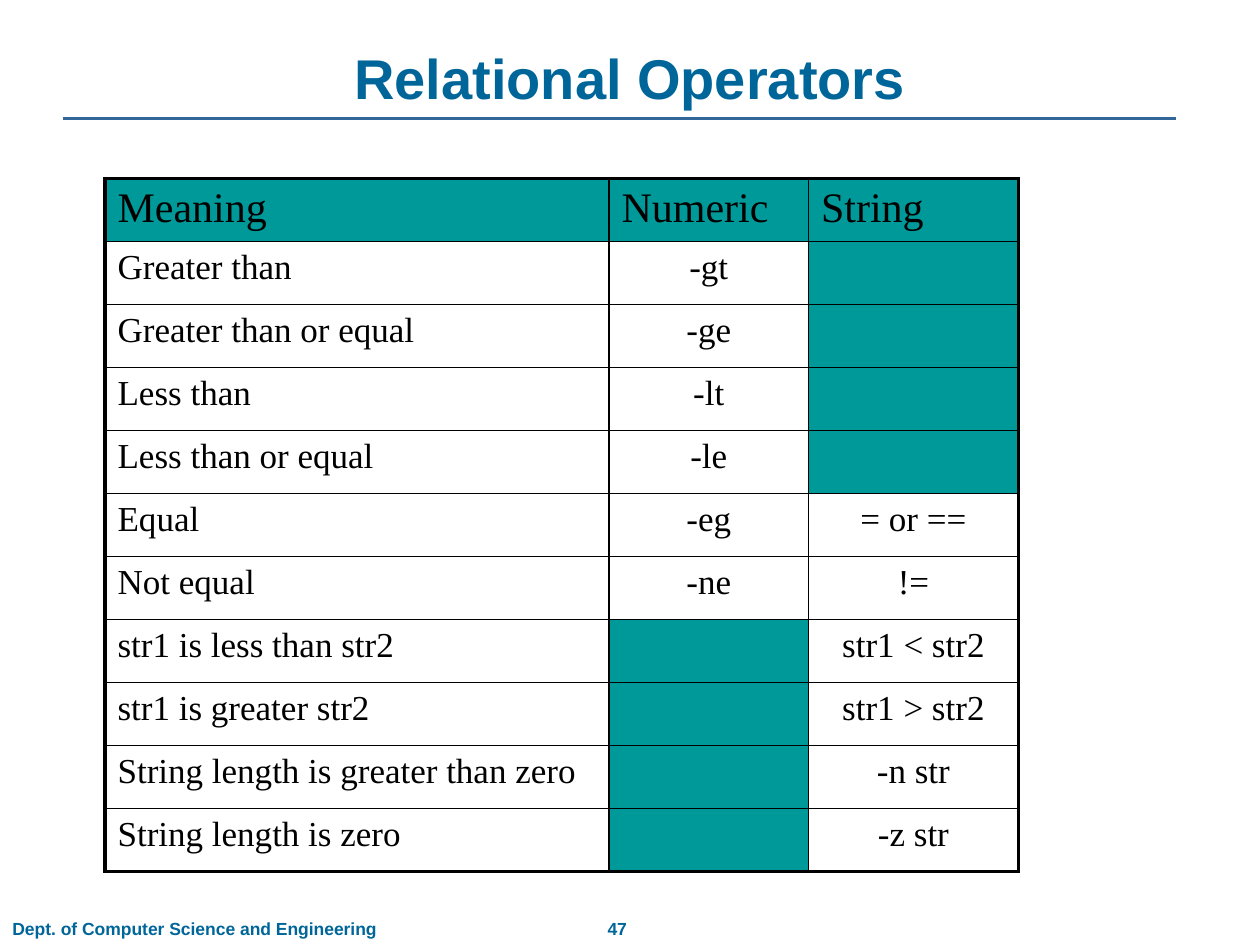
from pptx import Presentation
from pptx.dml.color import RGBColor
from pptx.enum.shapes import MSO_CONNECTOR
from pptx.enum.text import MSO_ANCHOR, MSO_AUTO_SIZE, PP_ALIGN
from pptx.oxml.ns import qn
from pptx.util import Pt
from lxml.etree import SubElement

BLUE, RULE, TEAL, BLACK = "006699", "336699", "009999", "000000"
HEADINGS = ("Meaning", "Numeric", "String")
OPERATORS = [
    ("Greater than", "-gt", ""),
    ("Greater than or equal", "-ge", ""),
    ("Less than", "-lt", ""),
    ("Less than or equal", "-le", ""),
    ("Equal", "-eg", "= or =="),
    ("Not equal", "-ne", "!="),
    ("str1 is less than str2", "", "str1 < str2"),
    ("str1 is greater str2", "", "str1 > str2"),
    ("String length is greater than zero", "", "-n str"),
    ("String length is zero", "", "-z str"),
]


def color(hex_string):
    return RGBColor.from_string(hex_string)


def write(frame, text, size=10, font="Arial", ink=BLUE, bold=False, align=PP_ALIGN.LEFT):
    paragraph = frame.paragraphs[0]
    paragraph.alignment = align
    run = paragraph.add_run()
    run.text = text
    run.font.size = Pt(size)
    run.font.name = font
    run.font.bold = bold
    run.font.color.rgb = color(ink)


def add_heading(slide, left, top, width, height):
    title = slide.shapes.title
    title.left, title.top, title.width, title.height = map(Pt, (left, top, width, height))
    frame = title.text_frame
    frame.auto_size = MSO_AUTO_SIZE.NONE
    frame.vertical_anchor = MSO_ANCHOR.BOTTOM
    write(frame, "Relational Operators", size=32, bold=True, align=PP_ALIGN.CENTER)

    # Rule under the title
    rule_y = Pt(top + height + 0.7)
    rule = slide.shapes.add_connector(
        MSO_CONNECTOR.STRAIGHT, Pt(left), rule_y, Pt(left + width - 12.2), rule_y)
    rule.line.color.rgb = color(RULE)
    rule.line.width = Pt(1.5)
    SubElement(rule._element.spPr, qn("a:effectLst"))


def add_footer_text(slide, text, left, top, width, height, align=PP_ALIGN.LEFT):
    footer = slide.shapes.add_textbox(Pt(left), Pt(top), Pt(width), Pt(height))
    footer.text_frame.word_wrap = True
    write(footer.text_frame, text, bold=True, align=align)


def set_borders(cell, widths):
    properties = cell._tc.get_or_add_tcPr()
    for side, width in widths.items():
        border = SubElement(properties, qn(f"a:ln{side}"), w=str(Pt(width)))
        fill = SubElement(border, qn("a:solidFill"))
        SubElement(fill, qn("a:srgbClr"), val=BLACK)


def add_operator_table(slide, left, top, column_widths, row_height):
    rows = [HEADINGS, *OPERATORS]
    last_row, last_column = len(rows) - 1, len(HEADINGS) - 1
    table = slide.shapes.add_table(
        len(rows), len(HEADINGS), Pt(left), Pt(top),
        Pt(sum(column_widths)), Pt(row_height * len(rows))).table
    table.first_row = table.horz_banding = False
    for column, width in zip(table.columns, column_widths):
        column.width = Pt(width)

    for r, row in enumerate(rows):
        table.rows[r].height = Pt(row_height)
        for c, text in enumerate(row):
            cell = table.cell(r, c)
            # Thick frame outside, thin grid inside
            on_edge = {"L": c == 0, "R": c == last_column, "T": r == 0, "B": r == last_row}
            set_borders(cell, {side: 2.25 if edge else 1 for side, edge in on_edge.items()})
            # Teal marks the headings and operators that do not exist
            if r == 0 or not text:
                cell.fill.solid()
                cell.fill.fore_color.rgb = color(TEAL)
            else:
                cell.fill.background()
            if text:
                centred = r > 0 and c > 0
                write(cell.text_frame, text, size=20 if r else 24,
                      font="Times New Roman", ink=BLACK,
                      align=PP_ALIGN.CENTER if centred else PP_ALIGN.LEFT)


def main():
    deck = Presentation()
    deck.slide_width, deck.slide_height = Pt(720), Pt(540)
    slide = deck.slides.add_slide(deck.slide_layouts[5])
    add_heading(slide, 36, 21.6, 648, 45.4)
    add_operator_table(slide, 60, 102, (288, 114, 120), 36)
    add_footer_text(slide, "Dept. of Computer Science and Engineering", 0, 521.3, 224.6, 19.4)
    add_footer_text(slide, "47", 339, 521.3, 27.4, 19.4, align=PP_ALIGN.CENTER)
    deck.save("out.pptx")


if __name__ == "__main__":
    main()
